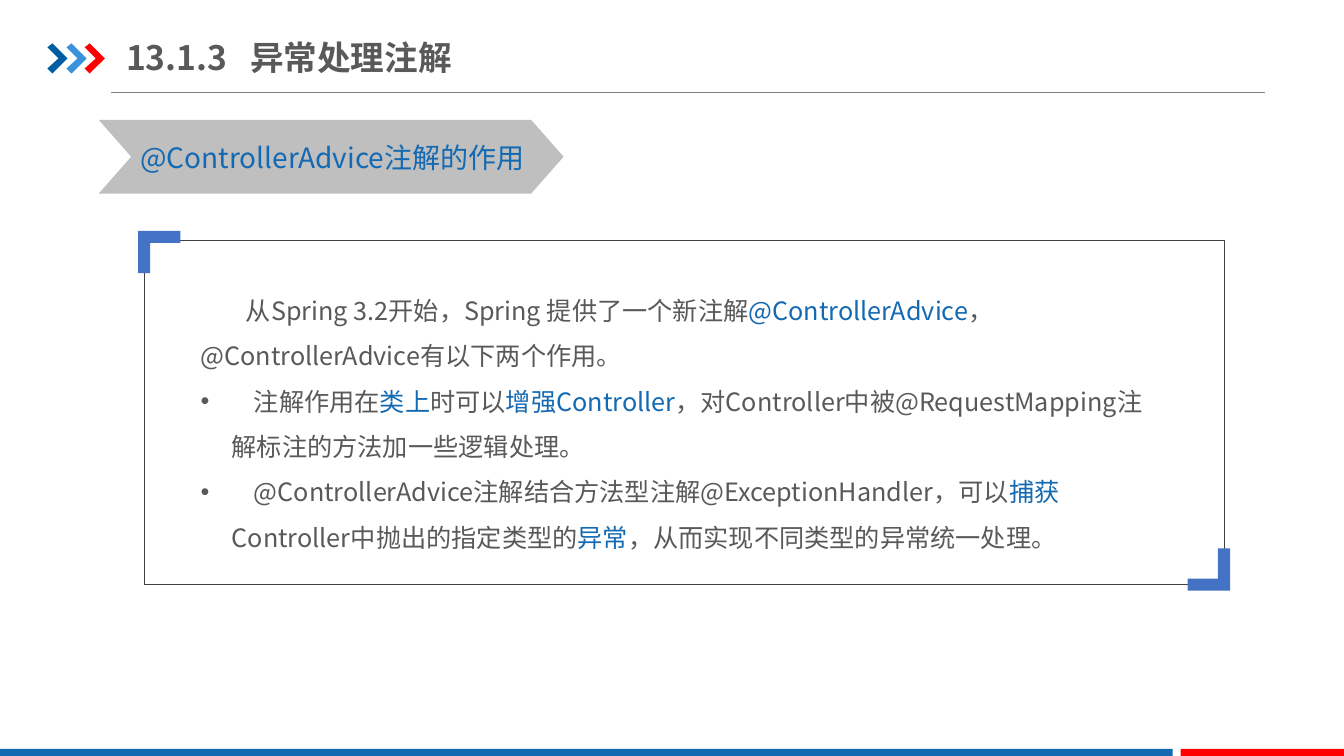
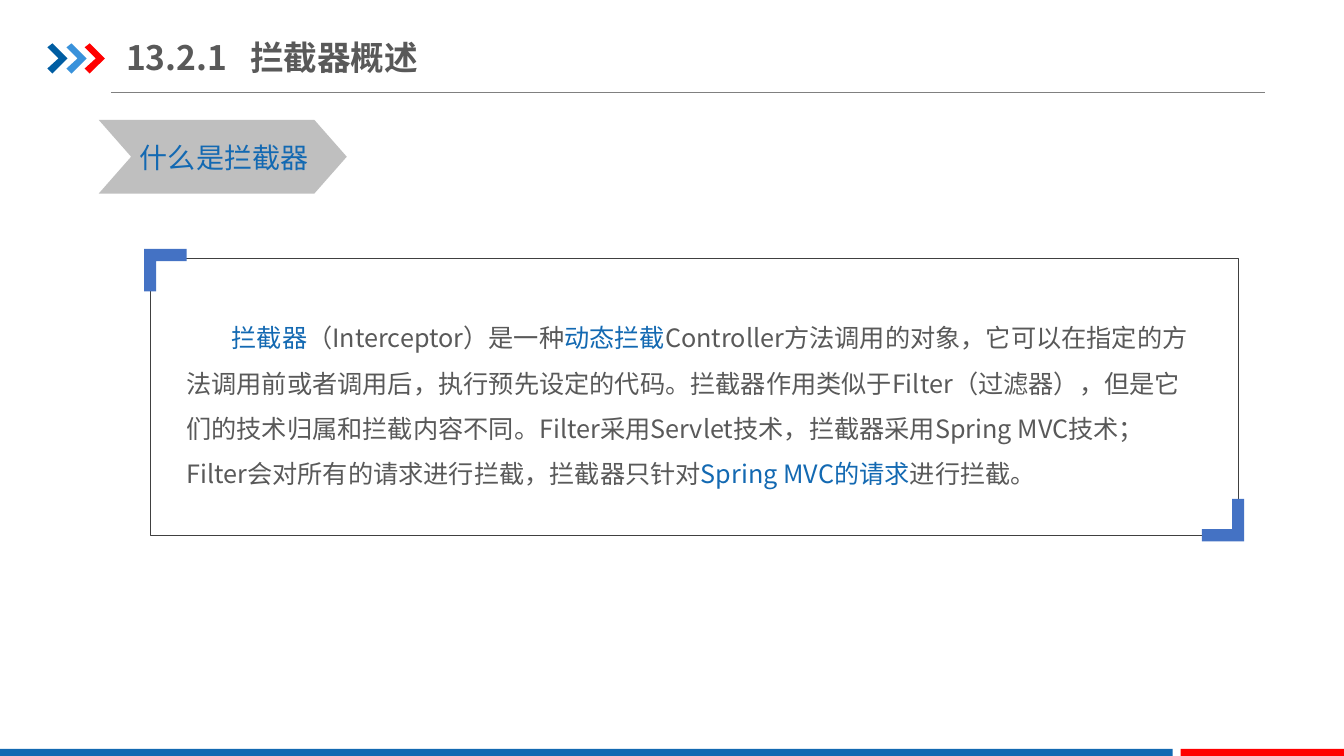
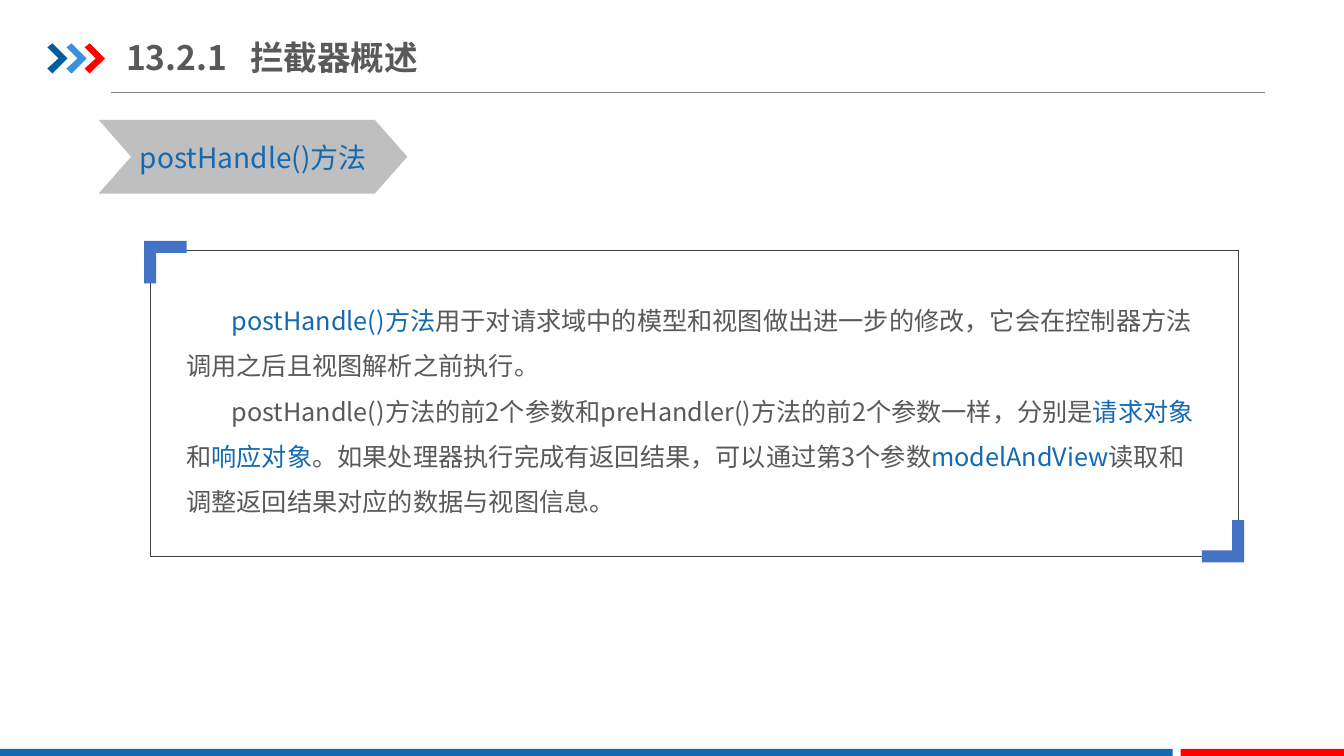
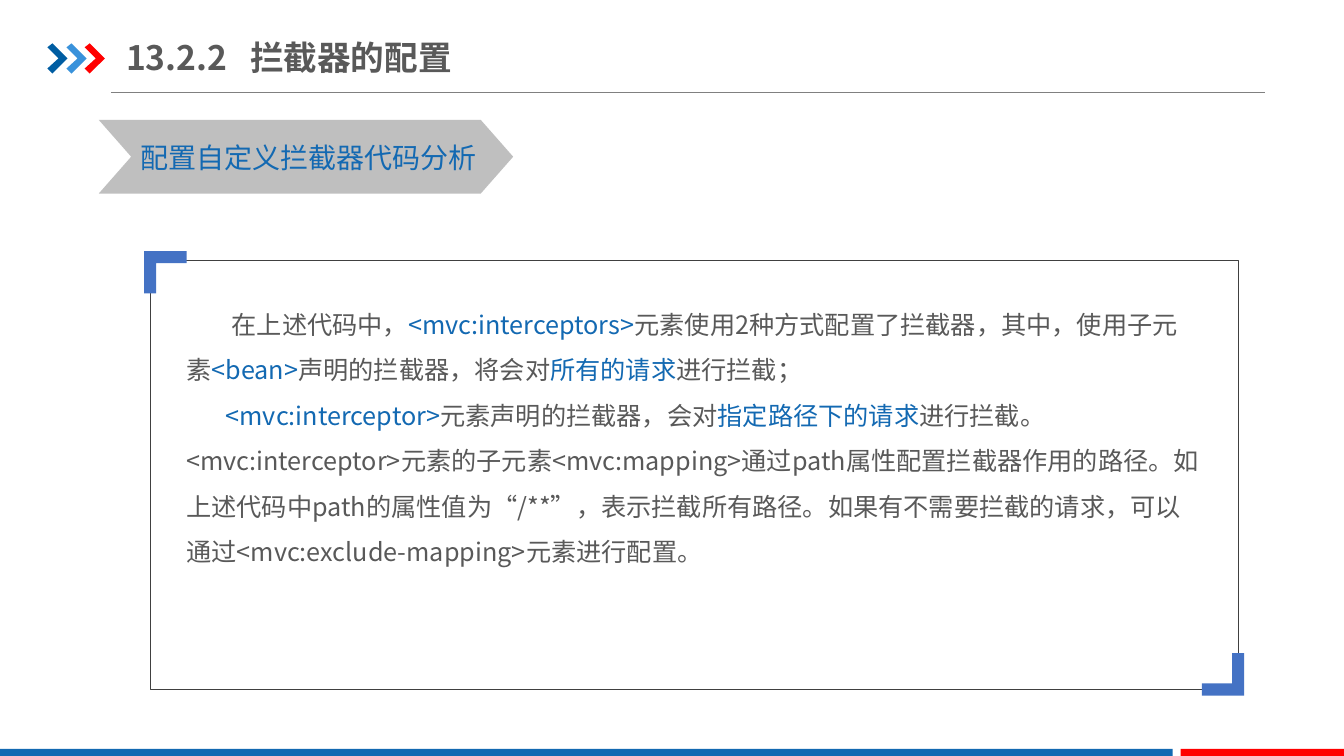
import pptx
import pptx.util
import pptx.dml.color
import pptx.enum.shapes
import pptx.enum.text
import pptx.oxml.ns
import lxml.etree

Inches = pptx.util.Inches
Kind = pptx.enum.shapes.MSO_SHAPE
Text = pptx.enum.text
qn = pptx.oxml.ns.qn

FONT = "Noto Sans CJK SC"
BLUE, RED, GREY, INK = "1369B2", "FF0000", "BFBFBF", "595959"
MARKS = [(0.47, "005DA2"), (0.66, "3992DB"), (0.84, RED)]
ACCENT, EDGE, RULE = "4472C4", "404040", "808080"


def color(code):
    return pptx.dml.color.RGBColor.from_string(code)


def style(item, values):
    for name, value in values.items():
        setattr(item, name, value)


def node(parent, tag, **attrs):
    return lxml.etree.SubElement(parent, qn(tag), attrs)


class Deck:
    def __init__(self):
        self.file = pptx.Presentation()
        style(self.file, {"slide_width": Inches(13.33), "slide_height": Inches(7.5)})
        self.slide = None

    def page(self, title):
        self.slide = self.file.slides.add_slide(self.file.slide_layouts[5])
        self.rule()
        for x, code in MARKS:
            self.shape([(x, 0.47), (x + 0.05, 0.43), (x + 0.2, 0.58),
                        (x + 0.05, 0.73), (x, 0.68), (x + 0.11, 0.58)], code)
        self.block(Kind.RECTANGLE, (0, 7.43, 11.63, 0.09), BLUE)
        self.block(Kind.RECTANGLE, (11.71, 7.43, 1.62, 0.09), RED)
        self.title(title)

    def title(self, text):
        box = self.slide.shapes.title
        self.place(box, (1.25, 0.29, 4.46, 0.55))
        self.frame(box, (0, 0.07), Text.MSO_ANCHOR.MIDDLE)
        par = box.text_frame.paragraphs[0]
        par.alignment = Text.PP_ALIGN.LEFT
        self.stop(par, 1.23)
        self.run(par, text, 24, INK, True)

    def place(self, item, area):
        names = ("left", "top", "width", "height")
        style(item, dict(zip(names, map(Inches, area))))

    def frame(self, box, inset, anchor):
        x, y = map(Inches, inset)
        style(box.text_frame, {
            "margin_left": x, "margin_right": x,
            "margin_top": y, "margin_bottom": y,
            "word_wrap": True, "vertical_anchor": anchor,
            "auto_size": Text.MSO_AUTO_SIZE.NONE})

    def stop(self, par, place):
        tabs = node(par._p.get_or_add_pPr(), "a:tabLst")
        node(tabs, "a:tab", pos=str(Inches(place)), algn="l")

    def run(self, par, text, size, code, bold=False):
        run = par.add_run()
        run.text = text
        style(run.font, {"name": FONT, "size": pptx.util.Pt(size), "bold": bold})
        run.font.color.rgb = color(code)
        node(run._r.get_or_add_rPr(), "a:ea", typeface=FONT)

    def rule(self):
        line = self.slide.shapes.add_connector(
            pptx.enum.shapes.MSO_CONNECTOR.STRAIGHT,
            Inches(1.1), Inches(0.92), Inches(12.55), Inches(0.92))
        line.line.color.rgb = color(RULE)
        line.line.width = pptx.util.Pt(0.5)
        node(line._element.spPr, "a:effectLst")

    def paint(self, item, fill):
        item.shadow.inherit = False
        item.fill.solid()
        item.fill.fore_color.rgb = color(fill)
        item.line.fill.background()

    def block(self, kind, area, fill):
        item = self.slide.shapes.add_shape(kind, *map(Inches, area))
        self.paint(item, fill)
        return item

    def shape(self, points, fill):
        spots = [(Inches(x), Inches(y)) for x, y in points]
        pen = self.slide.shapes.build_freeform(*spots[0])
        pen.add_line_segments(spots[1:], close=True)
        self.paint(pen.convert_to_shape(), fill)

    def text(self, area):
        box = self.slide.shapes.add_textbox(*map(Inches, area))
        self.frame(box, (0.1, 0.05), Text.MSO_ANCHOR.TOP)
        return box.text_frame

    def tag(self, text, width):
        item = self.block(Kind.CHEVRON, (0.98, 1.19, width, 0.73), GREY)
        item.adjustments[0] = 0.44
        par = self.text((1.29, 1.34, width - 0.3, 0.44)).paragraphs[0]
        self.run(par, text, 20, BLUE)

    def panel(self, area):
        x, y, w, h = area
        item = self.block(Kind.RECTANGLE, area, GREY)
        item.fill.background()
        item.line.color.rgb = color(EDGE)
        item.line.width = pptx.util.Pt(0.25)
        self.corner(x - 0.06, y - 0.09, 1)
        self.corner(x + w + 0.06, y + h + 0.06, -1)

    def corner(self, x, y, way):
        long, thin = 0.42 * way, 0.12 * way
        self.shape([(x, y), (x + long, y), (x + long, y + thin),
                    (x + thin, y + thin), (x + thin, y + long), (x, y + long)], ACCENT)

    def body(self, area, pars):
        frame = self.text(area)
        for i, (indent, text) in enumerate(pars):
            par = frame.paragraphs[0] if i == 0 else frame.add_paragraph()
            props = par._p.get_or_add_pPr()
            if indent < 0:
                props.set("marL", str(Inches(-indent)))
                node(props, "a:buFont", typeface="Arial")
                node(props, "a:buChar", char="•")
                self.stop(par, 0.53)
                text = "\t" + text
            props.set("indent", str(Inches(indent)))
            par.line_spacing = 1.5
            for j, part in enumerate(text.split("|")):
                if part:
                    self.run(par, part, 18, BLUE if j % 2 else INK)


FIRST, HANG = 0.45, -0.31

PAGES = [
    ("13.1.3\t异常处理注解", "@ControllerAdvice注解的作用", 4.61,
     (1.43, 2.38, 10.71, 3.42), (1.89, 2.73, 9.71, 2.72), [
         (FIRST, "从Spring 3.2开始，Spring 提供了一个新注解|@ControllerAdvice|， @ControllerAdvice有以下两个作用。"),
         (HANG, "注解作用在|类上|时可以|增强Controller|，对Controller中被@RequestMapping注解标注的方法加一些逻辑处理。"),
         (HANG, "@ControllerAdvice注解结合方法型注解@ExceptionHandler，可以|捕获|Controller中抛出的指定类型的|异常|，从而实现不同类型的异常统一处理。")]),
    ("13.2.1\t拦截器概述", "什么是拦截器", 2.46,
     (1.49, 2.56, 10.79, 2.75), (1.75, 3, 10.27, 2.05), [
         (FIRST, "|拦截器|（Interceptor）是一种|动态拦截|Controller方法调用的对象，它可以在指定的方法调用前或者调用后，执行预先设定的代码。拦截器作用类似于Filter（过滤器），但是它们的技术归属和拦截内容不同。Filter采用Servlet技术，拦截器采用Spring MVC技术；Filter会对所有的请求进行拦截，拦截器只针对|Spring MVC的请求|进行拦截。")]),
    ("13.2.1\t拦截器概述", "postHandle()方法", 3.06,
     (1.49, 2.48, 10.79, 3.04), (1.75, 2.83, 10.27, 2.4), [
         (FIRST, "|postHandle()方法|用于对请求域中的模型和视图做出进一步的修改，它会在控制器方法调用之后且视图解析之前执行。"),
         (FIRST, "postHandle()方法的前2个参数和preHandler()方法的前2个参数一样，分别是|请求对象|和|响应对象|。如果处理器执行完成有返回结果，可以通过第3个参数|modelAndView|读取和调整返回结果对应的数据与视图信息。")]),
    ("13.2.2\t拦截器的配置", "配置自定义拦截器代码分析", 4.11,
     (1.49, 2.58, 10.79, 4.26), (1.75, 2.87, 10.27, 3.75), [
         (FIRST, "在上述代码中，|<mvc:interceptors>|元素使用2种方式配置了拦截器，其中，使用子元素|<bean>|声明的拦截器，将会对|所有的请求|进行拦截；"),
         (0.39, "|<mvc:interceptor>|元素声明的拦截器，会对|指定路径下的请求|进行拦截。"),
         (0, "<mvc:interceptor>元素的子元素<mvc:mapping>通过path属性配置拦截器作用的路径。如上述代码中path的属性值为“/**”，表示拦截所有路径。如果有不需要拦截的请求，可以通过<mvc:exclude-mapping>元素进行配置。")]),
]


def main():
    deck = Deck()
    for title, tag, width, panel, area, pars in PAGES:
        deck.page(title)
        deck.tag(tag, width)
        deck.body(area, pars)
        deck.panel(panel)
    deck.file.save("out.pptx")


if __name__ == "__main__":
    main()
